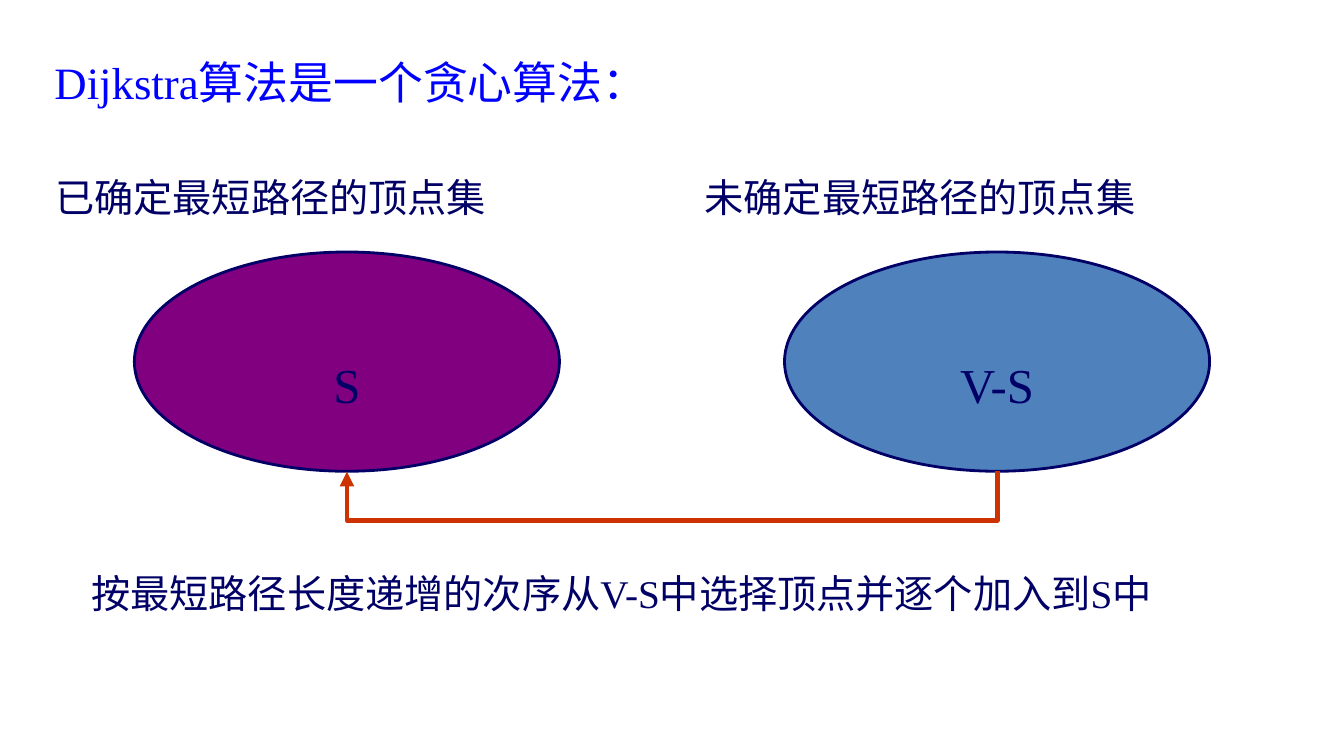
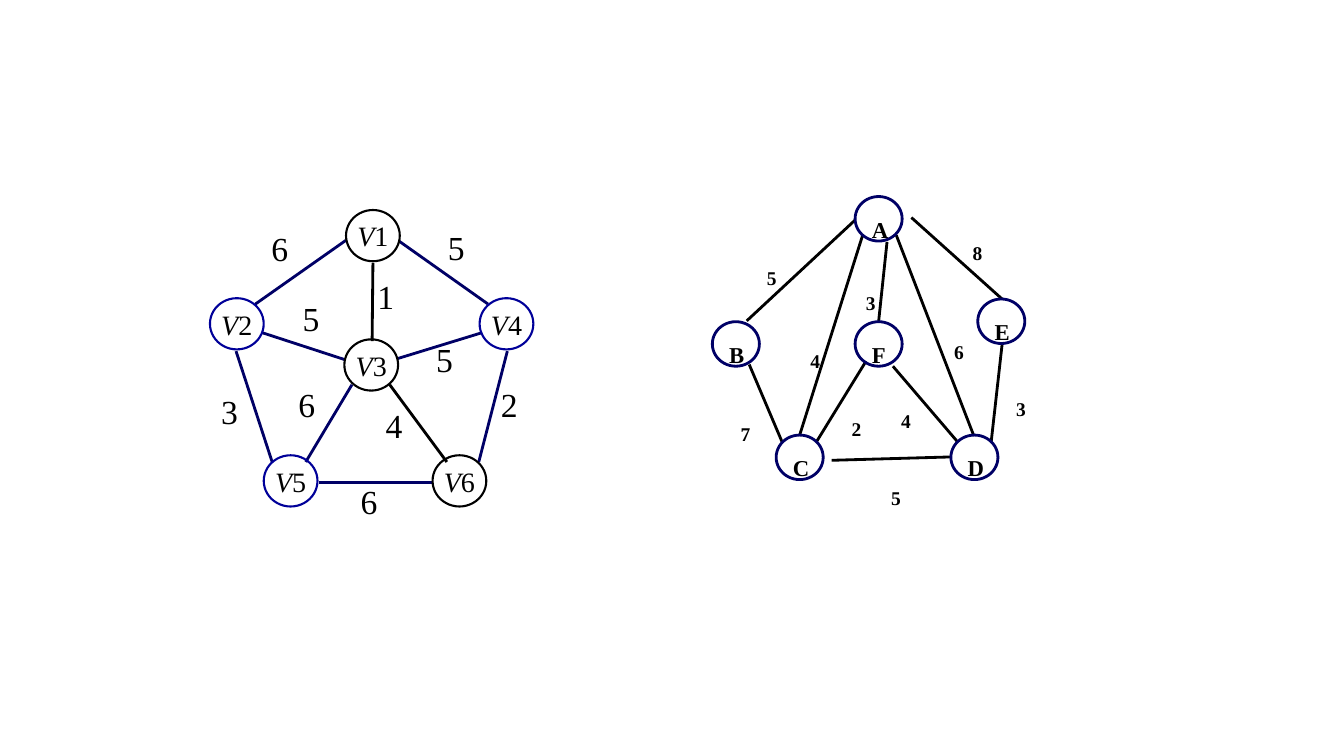
from dataclasses import dataclass
from typing import NamedTuple

from lxml.etree import SubElement
from pptx import Presentation
from pptx.dml.color import RGBColor as Rgb
from pptx.enum.shapes import MSO_CONNECTOR as Link, MSO_SHAPE as Form
from pptx.enum.text import MSO_ANCHOR as Anchor, MSO_AUTO_SIZE as Fit, PP_ALIGN as Align
from pptx.oxml.ns import qn
from pptx.util import Inches, Pt

WIDE, HIGH = Inches(13.33), Inches(7.5)
COLS, ROWS = 160, 90
LATIN, HAN = "Times New Roman", "Noto Sans CJK SC"
TINT = {"title": "0000FF", "navy": "000066", "ring": "000099", "black": "000000",
        "purple": "800080", "blue": "4F81BD", "arrow": "CC3300"}


class Box(NamedTuple):
    col: float
    row: float
    cols: float
    rows: float


@dataclass(frozen=True)
class Type:
    size: float
    tint: str = "black"
    face: str = LATIN
    bold: bool = False
    drop: int = 0


@dataclass(frozen=True)
class Note:
    text: str
    box: Box
    type: Type
    wrap: bool = True
    space: float = 1.0


class Set(NamedTuple):
    name: str
    col: float
    fill: str


class Node(NamedTuple):
    name: str
    col: float
    row: float
    tint: str = "navy"


class Edge(NamedTuple):
    start: tuple[float, float]
    end: tuple[float, float]
    cost: str
    spot: tuple[float, float]
    tint: str = "black"


@dataclass(frozen=True)
class Graph:
    nodes: list[Node]
    edges: list[Edge]
    node: tuple[float, float]
    ring: float
    name: Type
    tag: tuple[float, float]
    cost: Type
    inset: float
    wrap: bool


BODY = Type(28, "navy")
HEAD = Type(28, "navy", HAN)
MARK = Type(60, "navy", drop=-12)

NOTES = [
    Note("Dijkstra算法是一个贪心算法：", Box(5.3, 5, 149.2, 8.5), Type(32, "title"), space=1.15),
    Note("已确定最短路径的顶点集", Box(5.4, 20, 54.2, 6.8), HEAD, False),
    Note("未确定最短路径的顶点集", Box(82.7, 20, 54.2, 6.8), HEAD, False),
    Note("按最短路径长度递增的次序从V-S中选择顶点并逐个加入到S中", Box(9.7, 67.2, 133.3, 6.8), BODY),
]
SETS = [Set("S", 16, "purple"), Set("V-S", 93.4, "blue")]
SET_ROW, SET_COLS, SET_ROWS = 30, 50.6, 26.1

LEFT = Graph(
    nodes=[
        Node("V1", 41.2, 25, "black"), Node("V2", 25, 35.5, "ring"),
        Node("V3", 41, 40.4, "black"), Node("V4", 57.1, 35.5, "ring"),
        Node("V5", 31.4, 54.2, "ring"), Node("V6", 51.5, 54.2, "black"),
    ],
    edges=[
        Edge((30.4, 36.2), (41.2, 28.6), "6", (31.6, 26.5), "navy"),
        Edge((47.5, 28.7), (58.1, 36.2), "5", (52.6, 26.4), "navy"),
        Edge((44.4, 31.3), (44.3, 40.6), "1", (44.2, 32.2)),
        Edge((31.2, 39.6), (41, 42.8), "5", (35.3, 34.9), "navy"),
        Edge((57.4, 39.6), (47.3, 42.7), "5", (51.2, 39.8), "navy"),
        Edge((28.1, 41.8), (32.4, 55), "3", (25.6, 46), "navy"),
        Edge((41.9, 45.8), (36.4, 55), "6", (34.8, 45.1), "navy"),
        Edge((46.4, 45.8), (53.2, 55), "4", (45.2, 47.6)),
        Edge((60.4, 41.8), (57, 55), "2", (58.9, 45.1), "navy"),
        Edge((38, 57.4), (51.4, 57.4), "6", (42.2, 56.6), "navy"),
    ],
    node=(6.4, 6.1), ring=1.5, name=Type(20),
    tag=(3.5, 7.8), cost=Type(24), inset=0.06, wrap=False,
)
RIGHT = Graph(
    nodes=[
        Node("A", 101.8, 23.4), Node("B", 84.8, 38.3), Node("C", 92.4, 51.8),
        Node("D", 113.2, 51.8), Node("E", 116.4, 35.6), Node("F", 101.8, 38.3),
    ],
    edges=[
        Edge((101.8, 26.2), (88.9, 38.2), "5", (90.1, 29)),
        Edge((119.3, 35.6), (108.5, 25.9), "8", (114.6, 26)),
        Edge((118, 52.6), (119.3, 41), "3", (119.8, 44.6)),
        Edge((99, 54.8), (113.2, 54.4), "5", (104.9, 55.2)),
        Edge((106.3, 43.6), (114, 52.6), "4", (106.1, 46)),
        Edge((103.1, 43), (97.2, 52.6), "2", (100.2, 47)),
        Edge((105.6, 28.8), (104.6, 38.3), "3", (101.9, 32)),
        Edge((102.7, 28), (95.2, 51.8), "4", (95.3, 38.9)),
        Edge((89.2, 43.4), (93.1, 52.6), "7", (87, 47.6)),
        Edge((106.7, 28), (115.9, 51.8), "6", (112.4, 37.8)),
    ],
    node=(5.6, 5.3), ring=2, name=Type(28, bold=True, drop=-10),
    tag=(3.2, 4.4), cost=Type(24, bold=True, drop=-10), inset=0.1, wrap=True,
)


def across(cols: float) -> int:
    return round(WIDE * cols / COLS)


def down(rows: float) -> int:
    return round(HIGH * rows / ROWS)


def place(box: Box) -> tuple[int, int, int, int]:
    return across(box.col), down(box.row), across(box.cols), down(box.rows)


def paint(tint: str) -> Rgb:
    return Rgb.from_string(TINT[tint])


def style(run, kind: Type, slant: bool = False) -> None:
    font = run.font
    font.name, font.size, font.bold, font.italic = kind.face, Pt(kind.size), kind.bold, slant
    font.color.rgb = paint(kind.tint)
    props = run._r.get_or_add_rPr()
    SubElement(props, qn("a:ea")).set("typeface", HAN)
    if kind.drop:
        props.set("baseline", str(kind.drop * 1000))


def write(shapes, note: Note, inset: float = 0.1) -> None:
    frame = shapes.add_textbox(*place(note.box)).text_frame
    frame.text = note.text
    frame.word_wrap = note.wrap
    frame.auto_size = Fit.SHAPE_TO_FIT_TEXT
    frame.margin_left = frame.margin_right = Inches(inset)
    line = frame.paragraphs[0]
    line.line_spacing = note.space
    style(line.runs[0], note.type)


def oval(shapes, box: Box, name: str, kind: Type, ring: str, width: float,
         fill: str = "", wrap: bool = False) -> None:
    shape = shapes.add_shape(Form.OVAL, *place(box))
    shape.shadow.inherit = False
    if fill:
        shape.fill.solid()
        shape.fill.fore_color.rgb = paint(fill)
    else:
        shape.fill.background()
    shape.line.color.rgb = paint(ring)
    shape.line.width = Pt(width)
    frame = shape.text_frame
    frame.word_wrap, frame.vertical_anchor = wrap, Anchor.MIDDLE
    line = frame.paragraphs[0]
    line.alignment = Align.CENTER
    indexed = name[-1].isdigit()
    line.text = name[0] if indexed else name
    style(line.runs[0], kind, slant=indexed)
    if indexed:
        digit = line.add_run()
        digit.text = name[1:]
        style(digit, kind)


def join(shapes, form, start: tuple[float, float], end: tuple[float, float],
         tint: str, width: float):
    link = shapes.add_connector(form, across(start[0]), down(start[1]), across(end[0]), down(end[1]))
    link.line.color.rgb = paint(tint)
    link.line.width = Pt(width)
    SubElement(link._element.spPr, qn("a:effectLst"))
    return link


def loop(shapes, start: float, end: float, row: float, depth: float) -> None:
    link = join(shapes, Link.ELBOW, (end, row), (start, row), "arrow", 3.5)
    thin, span = Inches(0.01), across(start - end)
    link.left, link.top = across((start + end) / 2) - thin // 2, down(row) - span // 2
    link.width, link.height = thin, span
    props = link._element.spPr
    props.find(qn("a:xfrm")).set("rot", "5400000")
    bends = props.find(qn("a:prstGeom")).get_or_add_avLst()
    bend = SubElement(bends, qn("a:gd"))
    bend.set("name", "adj1")
    bend.set("fmla", f"val {round(down(depth) / thin * 100000)}")
    SubElement(props.find(qn("a:ln")), qn("a:tailEnd")).set("type", "triangle")


def draw(shapes, graph: Graph) -> None:
    for edge in graph.edges:
        join(shapes, Link.STRAIGHT, edge.start, edge.end, edge.tint, 2)
        write(shapes, Note(edge.cost, Box(*edge.spot, *graph.tag), graph.cost, graph.wrap), graph.inset)
    for node in graph.nodes:
        oval(shapes, Box(node.col, node.row, *graph.node), node.name, graph.name,
             node.tint, graph.ring, wrap=graph.wrap)


def main() -> None:
    deck = Presentation()
    deck.slide_width, deck.slide_height = WIDE, HIGH
    greedy, graphs = (deck.slides.add_slide(deck.slide_layouts[6]).shapes for _ in range(2))
    for note in NOTES:
        write(greedy, note)
    for item in SETS:
        oval(greedy, Box(item.col, SET_ROW, SET_COLS, SET_ROWS), item.name, MARK, "navy", 2, item.fill)
    goal, source = (item.col + SET_COLS / 2 for item in SETS)
    loop(greedy, source, goal, SET_ROW + SET_ROWS, 6)
    for graph in (LEFT, RIGHT):
        draw(graphs.add_group_shape().shapes, graph)
    deck.save("out.pptx")


if __name__ == "__main__":
    main()
